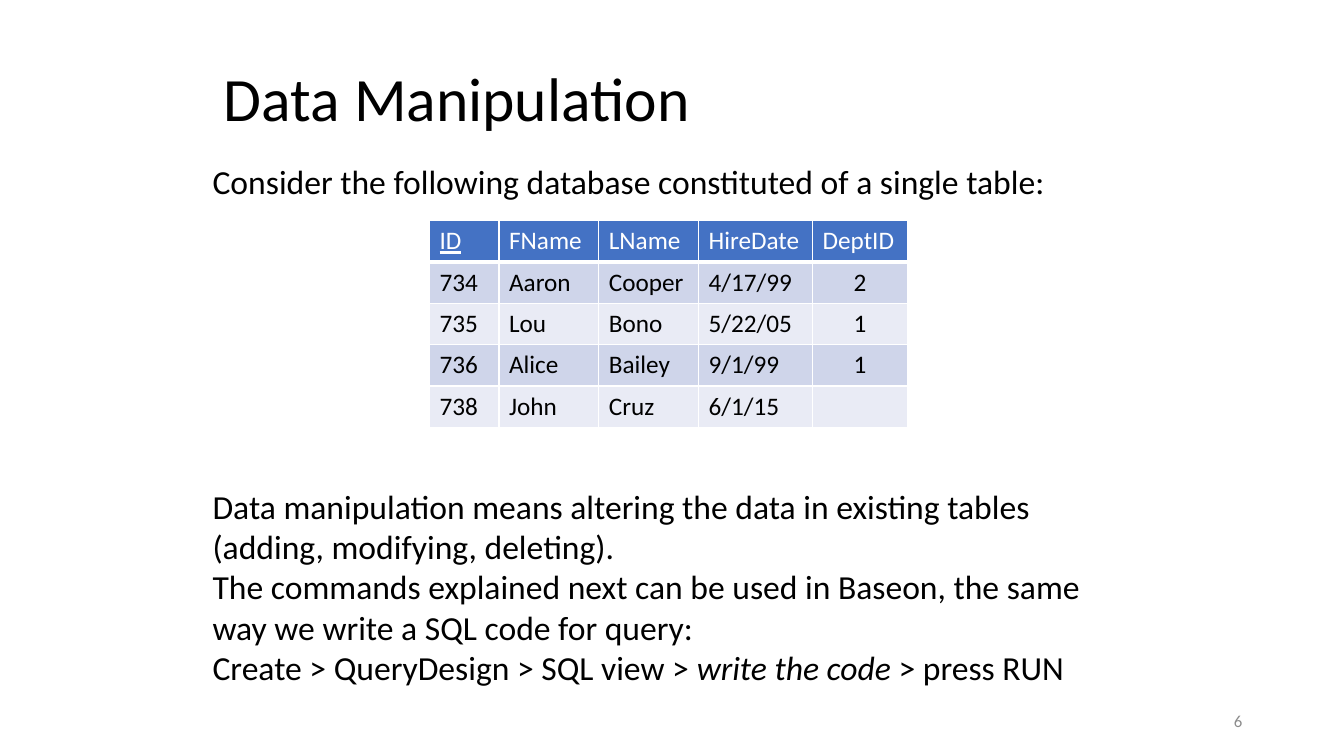
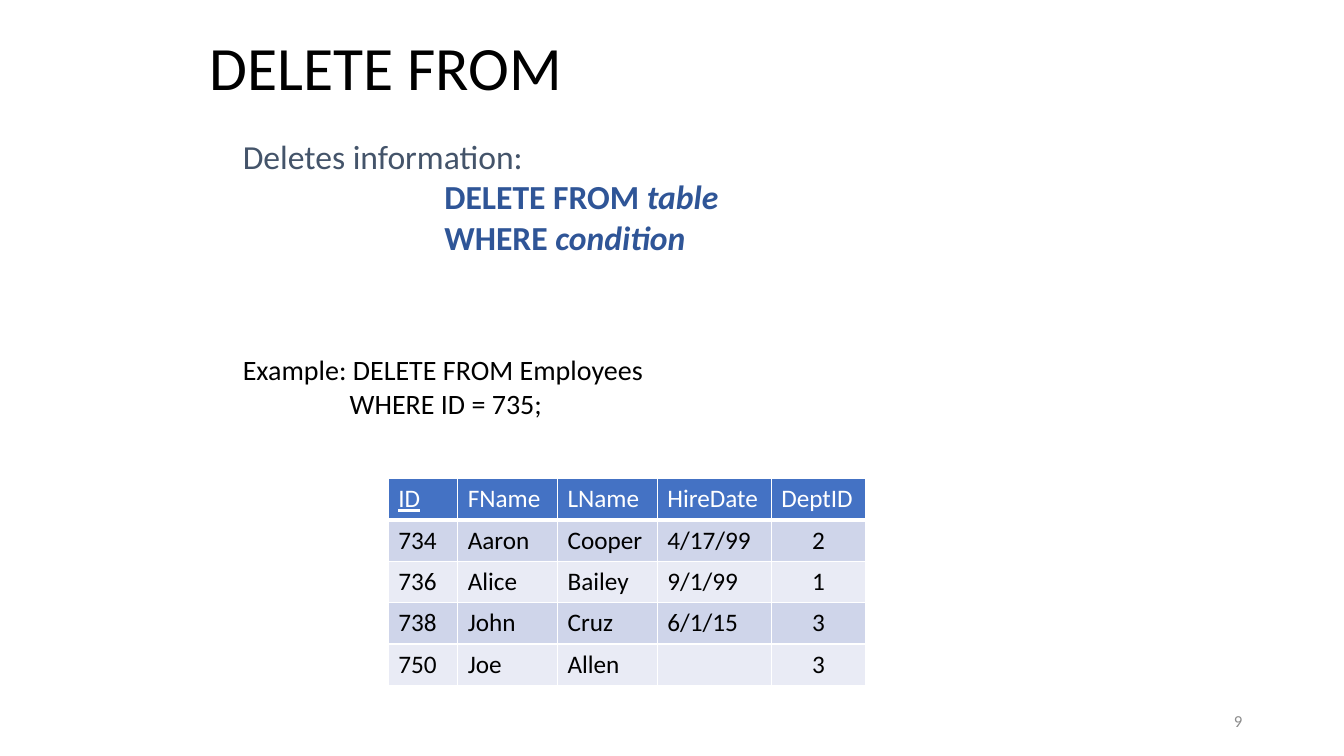
from dataclasses import dataclass

from lxml import etree
from pptx import Presentation
from pptx import util as u
from pptx.dml.color import RGBColor
from pptx.enum import text as t
from pptx.oxml import ns

FONT = "Calibri"
COLORS = {
    "ink": "000000",
    "white": "FFFFFF",
    "number": "8C8C8C",
    "header": "4472C4",
    "band_dark": "CFD5EA",
    "band_light": "E9EBF5",
    "slate": "44546A",
    "syntax": "2F5597",
}
HEADINGS = ("ID", "FName", "LName", "HireDate", "DeptID")
COLUMN_WIDTHS = (0.69, 0.99, 0.99, 1.13, 0.94)
ROW_HEIGHT = 0.41
TITLE_ONLY = 5


@dataclass(frozen=True)
class Box:
    left: float
    top: float
    width: float
    height: float

    def lengths(self) -> list[u.Length]:
        return [u.Inches(n) for n in (self.left, self.top, self.width, self.height)]


@dataclass(frozen=True)
class Span:
    words: str
    italic: bool = False


@dataclass(frozen=True)
class Line:
    spans: tuple[Span, ...]
    size: int = 24
    color: str = "ink"
    bold: bool = False
    indent: float = 0
    space_before: float = 0


@dataclass(frozen=True)
class TextBlock:
    box: Box
    lines: tuple[Line, ...]


@dataclass(frozen=True)
class Page:
    title: str
    title_box: Box
    number: str
    table_left: float
    table_top: float
    employees: tuple[tuple[str, ...], ...]
    blocks: tuple[TextBlock, ...]


def plain(words: str, **style) -> Line:
    return Line((Span(words),), **style)


AARON = ("734", "Aaron", "Cooper", "4/17/99", "2")
ALICE = ("736", "Alice", "Bailey", "9/1/99", "1")

PAGES = (
    Page(
        "Data Manipulation", Box(2.12, 0.19, 9.24, 1.63), "6", 4.26, 2.19,
        (
            AARON,
            ("735", "Lou", "Bono", "5/22/05", "1"),
            ALICE,
            ("738", "John", "Cruz", "6/1/15", ""),
        ),
        (
            TextBlock(Box(2.01, 1.55, 9.35, 5.76), (
                plain("Consider the following database constituted of a single table:"),
                plain("Data manipulation means altering the data in existing tables "
                      "(adding, modifying, deleting).", space_before=203),
                plain("The commands explained next can be used in Baseon, the same way "
                      "we write a SQL code for query:"),
                Line((Span("Create > QueryDesign > SQL view > "),
                      Span("write the code ", italic=True),
                      Span("> press RUN"))),
            )),
        ),
    ),
    Page(
        "DELETE FROM", Box(1.98, 0.09, 9.24, 1.21), "9", 3.85, 4.75,
        (
            AARON,
            ALICE,
            ("738", "John", "Cruz", "6/1/15", "3"),
            ("750", "Joe", "Allen", "", "3"),
        ),
        (
            TextBlock(Box(2.31, 3.45, 7.13, 0.77), (
                plain("Example: DELETE FROM Employees", size=20),
                plain("WHERE ID = 735;", size=20, indent=1.06),
            )),
            TextBlock(Box(2.31, 1.3, 7.13, 1.31), (
                plain("Deletes information:", color="slate"),
                Line((Span("DELETE FROM "), Span("table", italic=True)),
                     color="syntax", bold=True, indent=2),
                Line((Span("WHERE "), Span("condition", italic=True)),
                     color="syntax", bold=True, indent=2),
            )),
        ),
    ),
)


def style_run(run, size: int, color: str, bold: bool = False, italic: bool = False) -> None:
    font = run.font
    font.name = FONT
    font.size = u.Pt(size)
    font.bold = bold
    font.italic = italic
    font.color.rgb = RGBColor.from_string(COLORS[color])


def add_title(slide, page: Page) -> None:
    title = slide.shapes.title
    title.left, title.top, title.width, title.height = page.title_box.lengths()
    frame = title.text_frame
    frame.text = page.title
    frame.auto_size = t.MSO_AUTO_SIZE.NONE
    frame.vertical_anchor = t.MSO_ANCHOR.MIDDLE
    heading = frame.paragraphs[0]
    heading.alignment = t.PP_ALIGN.LEFT
    heading.line_spacing = 0.9
    style_run(heading.runs[0], 44, "ink")


def add_number(slide, number: str) -> None:
    frame = slide.shapes.add_textbox(*Box(9.42, 6.95, 3, 0.4).lengths()).text_frame
    frame.word_wrap = True
    frame.vertical_anchor = t.MSO_ANCHOR.MIDDLE
    frame.text = number
    frame.paragraphs[0].alignment = t.PP_ALIGN.RIGHT
    style_run(frame.paragraphs[0].runs[0], 12, "number")


def add_block(slide, block: TextBlock) -> None:
    frame = slide.shapes.add_textbox(*block.box.lengths()).text_frame
    frame.word_wrap = True
    for index, line in enumerate(block.lines):
        paragraph = frame.add_paragraph() if index else frame.paragraphs[0]
        paragraph.space_before = u.Pt(line.space_before)
        if line.indent:
            properties = paragraph._p.get_or_add_pPr()
            properties.set("marL", str(u.Inches(line.indent)))
            properties.set("indent", "0")
        for span in line.spans:
            run = paragraph.add_run()
            run.text = span.words
            style_run(run, line.size, line.color, line.bold, span.italic)


def add_borders(cell, bottom: float) -> None:
    properties = cell._tc.get_or_add_tcPr()
    widths = {"lnL": 1, "lnR": 1, "lnT": 1, "lnB": bottom}
    for index, (edge, width) in enumerate(widths.items()):
        border = etree.Element(ns.qn(f"a:{edge}"), w=str(u.Pt(width)))
        fill = etree.SubElement(border, ns.qn("a:solidFill"))
        etree.SubElement(fill, ns.qn("a:srgbClr"), val=COLORS["white"])
        properties.insert(index, border)


def add_employees(slide, page: Page) -> None:
    rows = (HEADINGS, *page.employees)
    box = Box(page.table_left, page.table_top, sum(COLUMN_WIDTHS), ROW_HEIGHT * len(rows))
    table = slide.shapes.add_table(len(rows), len(HEADINGS), *box.lengths()).table
    for column, width in zip(table.columns, COLUMN_WIDTHS):
        column.width = u.Inches(width)
    for row_index, values in enumerate(rows):
        is_header = row_index == 0
        band = "header" if is_header else "band_dark" if row_index % 2 else "band_light"
        table.rows[row_index].height = u.Inches(ROW_HEIGHT)
        for column_index, value in enumerate(values):
            cell = table.cell(row_index, column_index)
            cell.fill.solid()
            cell.fill.fore_color.rgb = RGBColor.from_string(COLORS[band])
            add_borders(cell, 3 if is_header else 1)
            cell.text_frame.text = value
            paragraph = cell.text_frame.paragraphs[0]
            if HEADINGS[column_index] == "DeptID" and not is_header:
                paragraph.alignment = t.PP_ALIGN.CENTER
            for run in paragraph.runs:
                style_run(run, 18, "white" if is_header else "ink")
                run.font.underline = value == "ID"


def main() -> None:
    deck = Presentation()
    deck.slide_width, deck.slide_height = u.Inches(13.33), u.Inches(7.5)
    for page in PAGES:
        slide = deck.slides.add_slide(deck.slide_layouts[TITLE_ONLY])
        add_title(slide, page)
        add_number(slide, page.number)
        add_employees(slide, page)
        for block in page.blocks:
            add_block(slide, block)
    deck.save("out.pptx")


if __name__ == "__main__":
    main()
